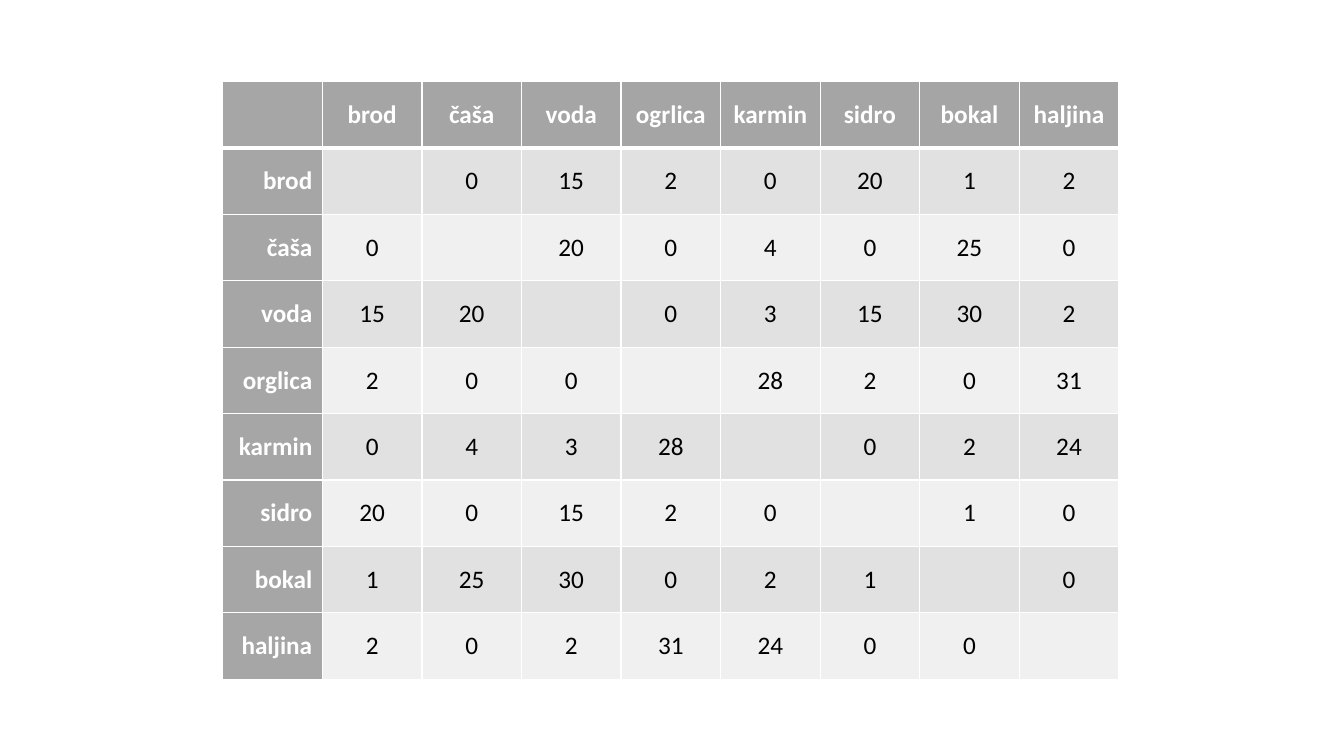
from dataclasses import dataclass

from pptx import Presentation
from pptx import util as u
from pptx.dml import color
from pptx.enum import text
from pptx.oxml import ns, xmlchemy

EMU_PER_PX = 9144  # 100 px to the inch


@dataclass(frozen=True)
class Theme:
    font: str = "Calibri"
    size: int = 18
    header_fill: str = "A5A5A5"
    label_fill: str = "A6A6A6"
    dark_band: str = "E1E1E1"
    light_band: str = "F0F0F0"
    label_text: str = "FFFFFF"
    value_text: str = "000000"
    grid: str = "FFFFFF"
    thin: int = 1
    thick: int = 3


THEME = Theme()

COLUMN_WORDS = ["brod", "čaša", "voda", "ogrlica", "karmin", "sidro", "bokal", "haljina"]
WORD_COUNTS = [
    ("brod", [None, 0, 15, 2, 0, 20, 1, 2]),
    ("čaša", [0, None, 20, 0, 4, 0, 25, 0]),
    ("voda", [15, 20, None, 0, 3, 15, 30, 2]),
    ("orglica", [2, 0, 0, None, 28, 2, 0, 31]),
    ("karmin", [0, 4, 3, 28, None, 0, 2, 24]),
    ("sidro", [20, 0, 15, 2, 0, None, 1, 0]),
    ("bokal", [1, 25, 30, 0, 2, 1, None, 0]),
    ("haljina", [2, 0, 2, 31, 24, 0, 0, None]),
]


def px(length):
    return u.Emu(length * EMU_PER_PX)


def rgb(code):
    return color.RGBColor.from_string(code)


def set_borders(cell, **widths):
    """Draw the grid on each side; widths in points override the thin line."""
    properties = cell._tc.get_or_add_tcPr()
    for side in ("L", "R", "T", "B"):
        line = xmlchemy.OxmlElement(f"a:ln{side}")
        line.set("w", str(u.Pt(widths.get(side, THEME.thin))))
        fill = xmlchemy.OxmlElement("a:solidFill")
        grid_color = xmlchemy.OxmlElement("a:srgbClr")
        grid_color.set("val", THEME.grid)
        fill.append(grid_color)
        line.append(fill)
        properties.append(line)


def style_cell(cell, content, fill, ink, bold, align):
    cell.fill.solid()
    cell.fill.fore_color.rgb = rgb(fill)
    cell.vertical_anchor = text.MSO_ANCHOR.MIDDLE
    paragraph = cell.text_frame.paragraphs[0]
    paragraph.text = "" if content is None else str(content)
    paragraph.alignment = align
    font = paragraph.font
    for run in paragraph.runs:
        font = run.font
    font.name = THEME.font
    font.size = u.Pt(THEME.size)
    font.bold = bold
    font.color.rgb = rgb(ink)


def add_matrix(slide, left, top, width, height):
    rows = [[None, *COLUMN_WORDS]] + [[word, *counts] for word, counts in WORD_COUNTS]
    matrix = slide.shapes.add_table(
        len(rows), len(rows[0]), px(left), px(top), px(width), px(height)
    ).table

    for r, row in enumerate(rows):
        for c, content in enumerate(row):
            cell = matrix.cell(r, c)
            # Heavy rule between the header and the counts
            heavy = {0: {"B": THEME.thick}, 1: {"T": THEME.thick}}.get(r, {})
            set_borders(cell, **heavy)

            # Row labels, column labels, then banded counts
            align = text.PP_ALIGN.CENTER
            is_label = r == 0 or c == 0
            if c == 0:
                fill, align = THEME.label_fill, text.PP_ALIGN.RIGHT
            elif r == 0:
                fill = THEME.header_fill
            else:
                fill = THEME.dark_band if r % 2 else THEME.light_band
            ink = THEME.label_text if is_label else THEME.value_text
            style_cell(cell, content, fill, ink, is_label, align)


def main():
    deck = Presentation()
    deck.slide_width, deck.slide_height = px(1333), px(750)
    slide = deck.slides.add_slide(deck.slide_layouts[6])
    add_matrix(slide, left=221, top=81, width=889, height=593)
    deck.save("out.pptx")


if __name__ == "__main__":
    main()
